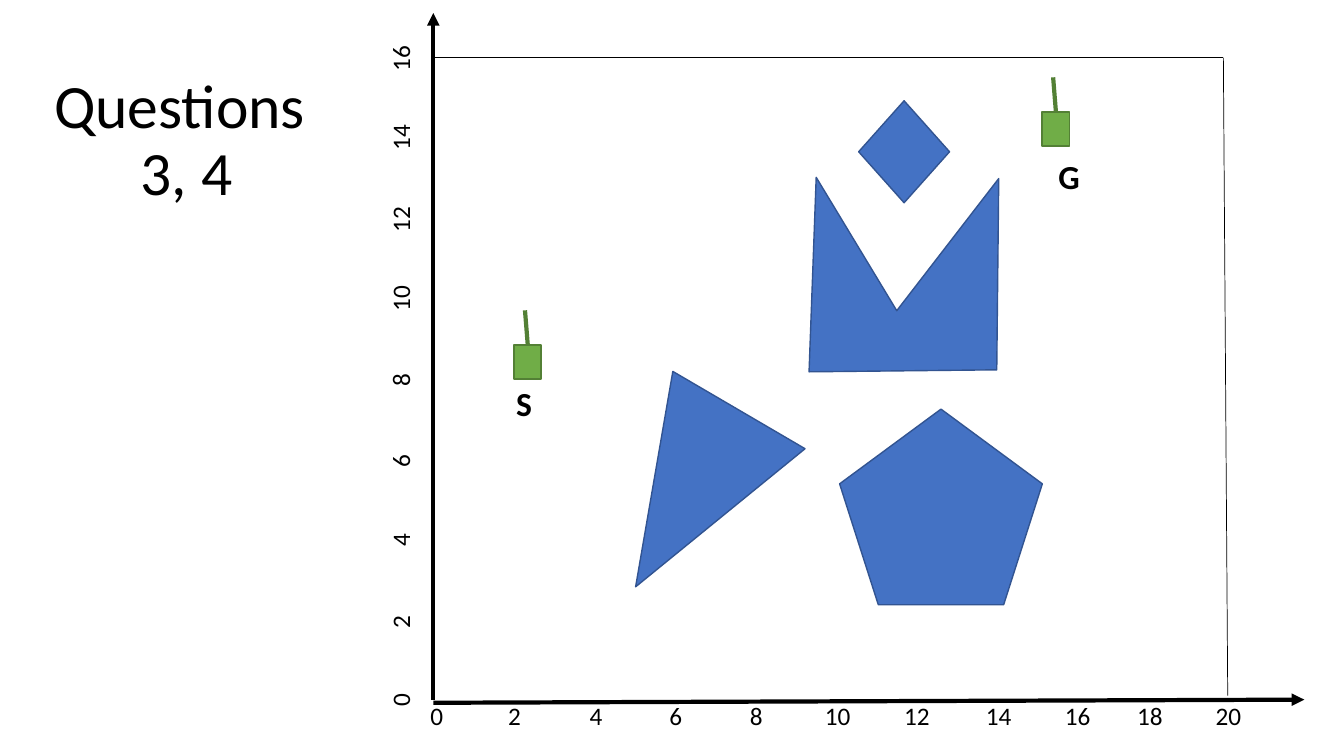
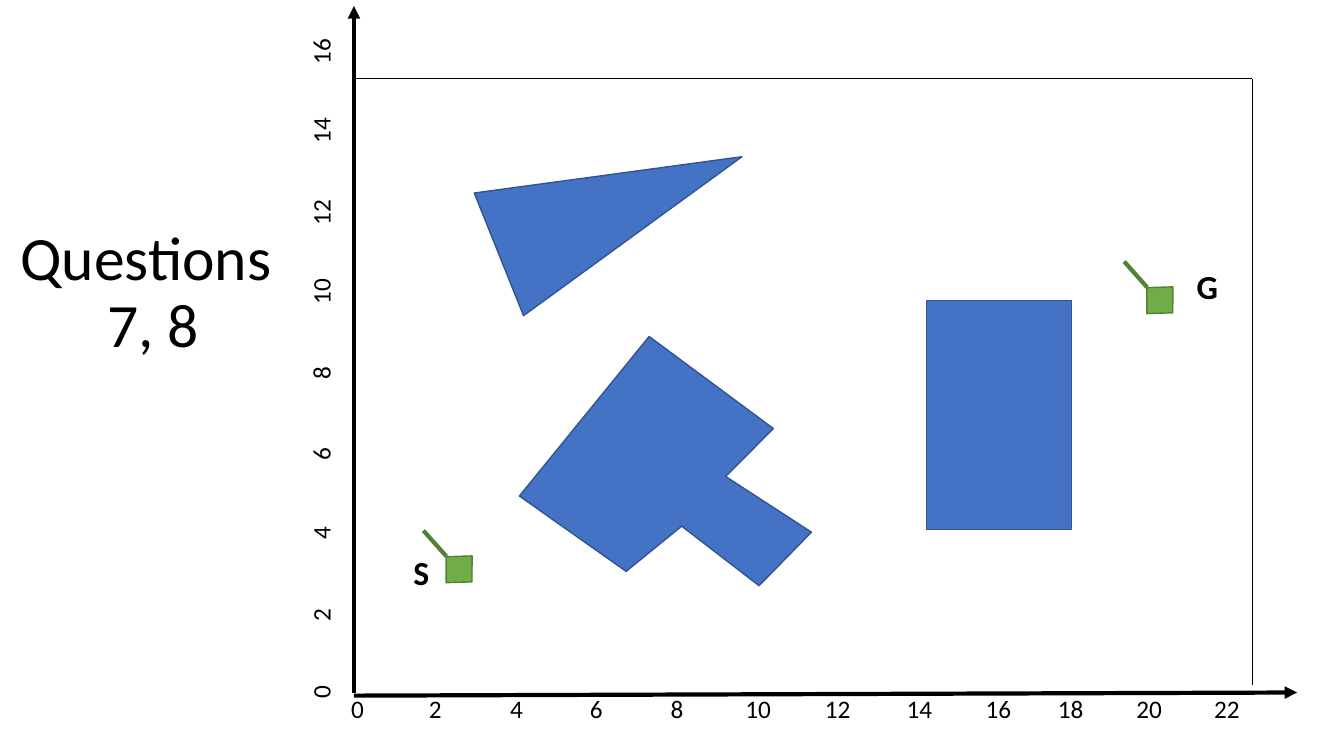
"""Build two workspace diagrams with axes, obstacles, a start and a goal."""
import dataclasses

import lxml.etree
import pptx
import pptx.dml.color
import pptx.enum.shapes
import pptx.enum.text
import pptx.oxml.ns
import pptx.util

Cm = pptx.util.Cm
Pt = pptx.util.Pt
PRESET = pptx.enum.shapes.MSO_SHAPE
ALIGN = pptx.enum.text.PP_ALIGN


@dataclasses.dataclass(frozen=True)
class Theme:
    """Colours, type sizes and line widths shared by the slides."""

    font: str = "Calibri"
    ink: str = "000000"
    obstacle: str = "4472C4"
    obstacle_edge: str = "325491"
    robot: str = "70AD47"
    robot_edge: str = "538035"
    title_size: float = 44
    tick_size: float = 18
    marker_size: float = 24
    axis_width: float = 3
    edge_width: float = 1
    border_width: float = 0.5


@dataclasses.dataclass(frozen=True)
class Origin:
    """Zero point of a plot; x grows rightwards and y upwards, in centimetres."""

    left: float
    top: float

    def at(self, x, y):
        """Return the slide position of a plot point."""
        return Cm(self.left + x), Cm(self.top - y)


@dataclasses.dataclass(frozen=True)
class Robot:
    """Body preset, size, turn and antenna ends measured from the body's top left."""

    preset: int
    size: tuple
    turn: float
    antenna: tuple


THEME = Theme()
TICK_OFFSETS = (0, 1.96, 4.01, 6.02, 8.05, 10.1, 12.1, 14.16, 16.15, 17.97, 19.95, 21.91)
AXIS_HEIGHT = 17.3
Y_TICKS = 9
UPRIGHT = Robot(PRESET.RECTANGLE, (0.69, 0.86), 0, ((0.35, 0), (0.28, 0.87)))
TILTED = Robot(PRESET.DIAMOND, (0.94, 0.91), 314.2, ((0.15, -0.13), (-0.43, 0.52)))


def rgb(colour):
    """Turn a hex string into a colour."""
    return pptx.dml.color.RGBColor.from_string(colour)


def add_text(slide, text, left, top, width, height, *, size, bold=False,
             wrap=False, spacing=None, turn=0):
    """Write centred text, one paragraph for each line."""
    box = slide.shapes.add_textbox(left, top, width, height)
    box.rotation = turn
    frame = box.text_frame
    frame.word_wrap = wrap
    frame.vertical_anchor = pptx.enum.text.MSO_ANCHOR.TOP
    for index, line in enumerate(text.split("\n")):
        paragraph = frame.paragraphs[0] if index == 0 else frame.add_paragraph()
        paragraph.alignment = ALIGN.CENTER
        paragraph.line_spacing = spacing
        run = paragraph.add_run()
        run.text = line
        run.font.name = THEME.font
        run.font.size = Pt(size)
        run.font.bold = bold
        run.font.color.rgb = rgb(THEME.ink)


def add_centred(slide, text, origin, x, y, width, height, **style):
    """Centre a label on a plot point."""
    left, top = origin.at(x - width / 2, y + height / 2)
    add_text(slide, text, left, top, Cm(width), Cm(height), **style)


def add_line(slide, origin, start, end, *, colour=THEME.ink, width, arrow=False):
    """Draw a line between two plot points."""
    line = slide.shapes.add_connector(
        pptx.enum.shapes.MSO_CONNECTOR.STRAIGHT, *origin.at(*start), *origin.at(*end))
    line.line.color.rgb = rgb(colour)
    line.line.width = Pt(width)
    qn = pptx.oxml.ns.qn
    if arrow:
        lxml.etree.SubElement(line.line._get_or_add_ln(), qn("a:tailEnd"), type="triangle")
    lxml.etree.SubElement(line._element.spPr, qn("a:effectLst"))


def paint(shape, fill, edge):
    """Give a shape its fill and edge."""
    shape.shadow.inherit = False
    shape.fill.solid()
    shape.fill.fore_color.rgb = rgb(fill)
    shape.line.color.rgb = rgb(edge)
    shape.line.width = Pt(THEME.edge_width)


def add_preset(slide, origin, preset, corner, size, turn=0,
               fill=THEME.obstacle, edge=THEME.obstacle_edge):
    """Place a preset shape by its top left plot point."""
    shape = slide.shapes.add_shape(preset, *origin.at(*corner), *map(Cm, size))
    shape.rotation = turn
    paint(shape, fill, edge)


def add_polygon(slide, origin, corners):
    """Draw an obstacle through plot points."""
    first, *others = [origin.at(*corner) for corner in corners]
    builder = slide.shapes.build_freeform(*first)
    builder.add_line_segments(others, close=True)
    paint(builder.convert_to_shape(), THEME.obstacle, THEME.obstacle_edge)


def add_axes(slide, origin, length, x_ticks):
    """Draw both arrows with their even-numbered ticks."""
    add_line(slide, origin, (0, -0.08), (length, 0), width=THEME.axis_width, arrow=True)
    add_line(slide, origin, (0, 0), (0, AXIS_HEIGHT), width=THEME.axis_width, arrow=True)
    for index, offset in enumerate(TICK_OFFSETS):
        number = str(2 * index)
        size = (0.51 + 0.33 * len(number), 1.03)
        if index < x_ticks:
            add_centred(slide, number, origin, 0.09 + offset, -0.41, *size,
                        size=THEME.tick_size)
        if index < Y_TICKS:
            add_centred(slide, number, origin, -0.83, offset, *size,
                        size=THEME.tick_size, turn=270)


def add_border(slide, origin, corner, foot):
    """Close the workspace along its top and right."""
    add_line(slide, origin, (0, corner[1]), corner, width=THEME.border_width)
    add_line(slide, origin, foot, corner, width=THEME.border_width)


def add_robot(slide, origin, robot, name, corner, name_at):
    """Place a robot with its antenna and name."""
    add_preset(slide, origin, robot.preset, corner, robot.size, robot.turn,
               THEME.robot, THEME.robot_edge)
    start, end = [(corner[0] + x, corner[1] + y) for x, y in robot.antenna]
    add_line(slide, origin, start, end, colour=THEME.robot_edge, width=THEME.axis_width)
    add_centred(slide, name, origin, *name_at, 1, 1.27, size=THEME.marker_size, bold=True)


def add_workspace(deck, title, title_box, origin, length, x_ticks, border,
                  polygon, presets, robot, places):
    """Build one slide from its title, axes, obstacles and robots."""
    slide = deck.slides.add_slide(deck.slide_layouts[6])
    add_text(slide, title, *map(Cm, title_box), size=THEME.title_size, wrap=True, spacing=0.9)
    add_axes(slide, origin, length, x_ticks)
    add_border(slide, origin, *border)
    add_polygon(slide, origin, polygon)
    for preset in presets:
        add_preset(slide, origin, *preset)
    for name, corner, name_at in places:
        add_robot(slide, origin, robot, name, corner, name_at)


def main():
    """Build and save the deck."""
    deck = pptx.Presentation()
    deck.slide_width, deck.slide_height = Cm(33.87), Cm(19.05)
    add_workspace(
        deck, "Questions \n 3, 4 ", (0.64, 1.78, 8.13, 2.26), Origin(10.92, 17.63),
        length=21.95, x_ticks=11, border=((19.91, 16.18), (20.02, 0.1)),
        polygon=((9.47, 8.26), (9.65, 13.16), (11.68, 9.8), (14.25, 13.13), (14.2, 8.31)),
        presets=(
            (PRESET.REGULAR_PENTAGON, (10.24, 7.32), (5.11, 4.93)),
            (PRESET.DIAMOND, (10.72, 15.09), (2.29, 2.57)),
            (PRESET.ISOSCELES_TRIANGLE, (4.47, 7.65), (3.86, 5.16), 210.3),
        ),
        robot=UPRIGHT,
        places=(("S", (2.03, 8.94), (2.29, 7.47)), ("G", (15.34, 14.81), (16, 13.18))))
    add_workspace(
        deck, "Questions\n 7, 8", (-0.69, 5.61, 8.74, 2.26), Origin(8.92, 17.45),
        length=23.77, x_ticks=12, border=((22.63, 15.47), (22.63, 0.18)),
        polygon=((4.17, 4.95), (7.44, 8.97), (10.57, 6.65), (9.37, 5.44),
                 (11.53, 4.04), (10.21, 2.69), (8.26, 4.19), (6.86, 3.05)),
        presets=(
            (PRESET.ISOSCELES_TRIANGLE, (5.05, 15.57), (3.33, 6.6), 68.1),
            (PRESET.RECTANGLE, (14.43, 9.88), (3.66, 5.77)),
        ),
        robot=TILTED,
        places=(("S", (2.18, 3.56), (1.7, 3.02)), ("G", (19.84, 10.34), (21.49, 10.24))))
    deck.save("out.pptx")


if __name__ == "__main__":
    main()
